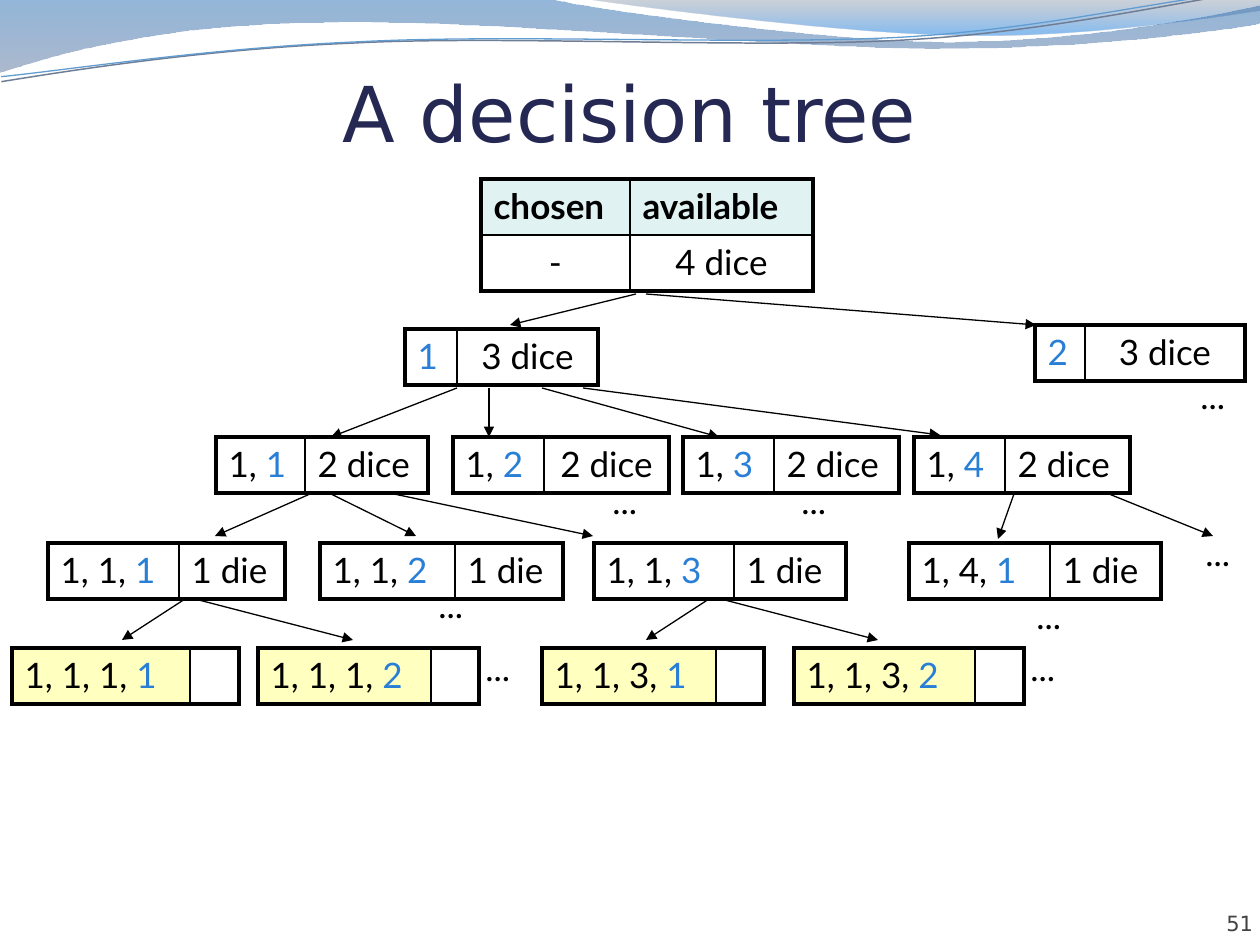
"""Build the decision tree slide for dice rolls."""
import dataclasses

import lxml.etree
import pptx
import pptx.dml.color
import pptx.enum.shapes
import pptx.enum.text
import pptx.oxml.ns
import pptx.util

ALIGN = pptx.enum.text.PP_ALIGN
ROW = 56


@dataclasses.dataclass(frozen=True)
class Theme:
    """Colours, fonts and type sizes of the slide."""
    heading_font: str = "DejaVu Sans"
    body_font: str = "Lato"
    title_size: int = 44
    body_size: int = 20
    number_size: int = 12
    title: str = "242852"
    ink: str = "000000"
    pick: str = "297FD5"
    number: str = "424242"
    header: str = "E1F2F3"
    leaf: str = "FFFFC0"
    outer_width: float = 2.25
    inner_width: float = 1
    arrow_width: float = 0.75
    strand_rotation: float = 357.3


THEME = Theme()

WAVES = [
    ((0, 0), [[(554, 0)], [(600, 11), (837, 42), (955, 42)],
              [(1075, 42), (1207, 18), (1260, 6)], [(1261, 24)],
              [(1239, 29), (1096, 49), (940, 49)], [(784, 49), (481, 19), (324, 23)],
              [(163, 24), (58, 54), (-1, 73)]],
     [(0, "125EAA", 45), (1, "697FA4", 55)]),
    ((588, 0), [[(627, 6), (849, 34), (961, 35)], [(1074, 38), (1211, 18), (1260, 11)],
                [(1260, 0)]],
     [(0, "596982", 30), (0.8, "0670DA", 45)]),
]
STRANDS = [
    ((0, 52), [[(62, 45), (202, 29), (352, 30)], [(501, 29), (746, 54), (900, 53)],
               [(1051, 52), (1187, 26), (1262, 20)]], "707E95", 0.85),
    ((0, 47), [[(61, 44), (209, 28), (359, 29)], [(509, 28), (751, 51), (902, 50)],
               [(1053, 48), (1163, 24), (1261, 20)]], "629DD1", 0.75),
]
NODES = [
    (405, 329, 52, 141, "", "1", "3 dice", ALIGN.CENTER),
    (1035, 325, 50, 160, "", "2", "3 dice", ALIGN.CENTER),
    (216, 437, 89, 123, "1, ", "1", "2 dice", ALIGN.LEFT),
    (453, 437, 91, 125, "1, ", "2", "2 dice", ALIGN.CENTER),
    (683, 437, 91, 125, "1, ", "3", "2 dice", ALIGN.LEFT),
    (914, 437, 91, 125, "1, ", "4", "2 dice", ALIGN.LEFT),
    (48, 543, 131, 106, "1, 1, ", "1", "1 die", ALIGN.LEFT),
    (320, 543, 135, 108, "1, 1, ", "2", "1 die", ALIGN.LEFT),
    (594, 543, 140, 112, "1, 1, ", "3", "1 die", ALIGN.LEFT),
    (909, 543, 141, 111, "1, 4, ", "1", "1 die", ALIGN.LEFT),
    (12, 648, 178, 49, "1, 1, 1, ", "1", "", ALIGN.LEFT),
    (258, 648, 173, 48, "1, 1, 1, ", "2", "", ALIGN.LEFT),
    (542, 648, 174, 48, "1, 1, 3, ", "1", "", ALIGN.LEFT),
    (794, 648, 181, 49, "1, 1, 3, ", "2", "", ALIGN.LEFT),
]
BRANCHES = {
    294: [(636, 510, 325), (646, 1036, 325)],
    388: [(457, 331, 437), (489, 489, 437), (542, 719, 437), (583, 940, 435)],
    494: [(310, 215, 536), (331, 416, 536), (394, 593, 536), (1014, 998, 539),
          (1109, 1213, 536)],
    599: [(185, 122, 640), (195, 353, 640), (709, 646, 640), (721, 878, 640)],
}
ELLIPSES = [(1193, 525), (789, 473), (600, 473), (1188, 368),
            (426, 577), (1024, 588), (473, 640), (1018, 640)]


def px(length):
    """Turn pixels into EMU."""
    return pptx.util.Emu(round(length * 914400 / 126))


def rgb(code):
    """Turn a hex code into a colour."""
    return pptx.dml.color.RGBColor.from_string(code)


def apply(target, values):
    """Set each attribute of target from a dict."""
    for name, value in values.items():
        setattr(target, name, value)


def sub(parent, tag, **attributes):
    """Append a drawing element to parent."""
    return lxml.etree.SubElement(parent, pptx.oxml.ns.qn(tag), attributes)


def write(paragraph, text, color=THEME.ink, size=THEME.body_size, name=THEME.body_font,
          bold=False):
    """Add a formatted run to a paragraph."""
    run = paragraph.add_run()
    run.text = text
    apply(run.font, {"size": pptx.util.Pt(size), "name": name, "bold": bold})
    run.font.color.rgb = rgb(color)


def add_outline(slide, start, segments, close):
    """Draw an outline whose segments of three points are cubic curves."""
    builder = slide.shapes.build_freeform(*map(px, start))
    points = [(px(x), px(y)) for segment in segments for x, y in segment]
    builder.add_line_segments(points, close=close)
    outline = builder.convert_to_shape()
    outline.shadow.inherit = False
    steps = iter(list(outline._element.iter(pptx.oxml.ns.qn("a:lnTo"))))
    for segment in segments:
        curve, *others = [next(steps) for _ in segment]
        if others:
            curve.addprevious(bezier := curve.makeelement(pptx.oxml.ns.qn("a:cubicBezTo")))
            for step in (curve, *others):
                bezier.append(step[0])
                step.getparent().remove(step)
    return outline


def add_wave(slide, start, segments, stops):
    """Draw a wave with a translucent vertical gradient."""
    wave = add_outline(slide, start, segments, True)
    wave.line.fill.background()
    wave.fill.gradient()
    wave.fill.gradient_angle = 270
    for stop, (position, color, _) in zip(wave.fill.gradient_stops, stops):
        stop.color.rgb = rgb(color)
        stop.position = position
    tints = wave._element.iter(pptx.oxml.ns.qn("a:srgbClr"))
    for tint, (_, _, opacity) in zip(list(tints), stops):
        sub(tint, "a:alpha", val=str(opacity * 1000))


def add_strand(slide, start, segments, color, width):
    """Draw a thin tilted curve."""
    strand = add_outline(slide, start, segments, False)
    strand.rotation = THEME.strand_rotation
    strand.fill.background()
    strand.line.color.rgb = rgb(color)
    strand.line.width = pptx.util.Pt(width)


def format_cell(cell, outer_edges, fill=None):
    """Set the borders and fill of a cell."""
    for edge in "LRTB":
        width = THEME.outer_width if edge in outer_edges else THEME.inner_width
        border = sub(cell._tc.get_or_add_tcPr(), f"a:ln{edge}", w=str(pptx.util.Pt(width)))
        sub(sub(border, "a:solidFill"), "a:srgbClr", val=THEME.ink)
    if fill:
        cell.fill.solid()
        cell.fill.fore_color.rgb = rgb(fill)
    else:
        cell.fill.background()


def add_state(slide, left, top, widths, fills):
    """Add a table of chosen and available dice, with one row for each pair of fills."""
    rows = len(fills)
    state = slide.shapes.add_table(rows, 2, px(left), px(top), px(sum(widths)),
                                   px(ROW * rows)).table
    apply(state, {"first_row": False, "horz_banding": False})
    for column, width in zip(state.columns, widths):
        column.width = px(width)
    for row, pair in enumerate(fills):
        state.rows[row].height = px(ROW)
        for column, fill in enumerate(pair):
            edges = "LR"[column] + "T" * (row == 0) + "B" * (row == rows - 1)
            format_cell(state.cell(row, column), edges, fill)
    return state


def add_root(slide):
    """Add the root state with its column headings."""
    root = add_state(slide, 481, 179, (149, 183), [(THEME.header, THEME.header), (None, None)])
    for row, texts in enumerate([("chosen", "available"), ("-", "4 dice")]):
        for column, text in enumerate(texts):
            paragraph = root.cell(row, column).text_frame.paragraphs[0]
            paragraph.alignment = ALIGN.CENTER if row else ALIGN.LEFT
            write(paragraph, text, bold=row == 0)


def add_node(slide, left, top, chosen_width, rest_width, prefix, pick, rest, alignment):
    """Add one state below the root; a state with no dice left is a leaf."""
    fill = None if rest else THEME.leaf
    node = add_state(slide, left, top, (chosen_width, rest_width), [(fill, None)])
    chosen, available = (node.cell(0, i).text_frame.paragraphs[0] for i in (0, 1))
    if prefix:
        write(chosen, prefix)
    write(chosen, pick, THEME.pick)
    available.alignment = alignment
    if rest:
        write(available, rest)


def add_branch(slide, *ends):
    """Draw an arrow from a state to its child."""
    branch = slide.shapes.add_connector(pptx.enum.shapes.MSO_CONNECTOR.STRAIGHT, *map(px, ends))
    branch.line.color.rgb = rgb(THEME.ink)
    branch.line.width = pptx.util.Pt(THEME.arrow_width)
    sub(branch.line._get_or_add_ln(), "a:tailEnd", type="triangle")
    sub(branch._element.spPr, "a:effectLst")


def add_label(slide, box, text, alignment, frame_format, **style):
    """Add a text box with one line."""
    frame = slide.shapes.add_textbox(*map(px, box)).text_frame
    apply(frame, frame_format)
    frame.paragraphs[0].alignment = alignment
    write(frame.paragraphs[0], text, **style)


def add_title(slide, text):
    """Place and format the title."""
    title = slide.shapes.title
    apply(title, dict(zip(("left", "top", "width", "height"), map(px, (63, 61, 1134, 97)))))
    apply(title.text_frame, {
        "margin_left": 0, "margin_right": 0, "margin_top": px(6), "margin_bottom": 0,
        "vertical_anchor": pptx.enum.text.MSO_ANCHOR.BOTTOM,
        "auto_size": pptx.enum.text.MSO_AUTO_SIZE.NONE, "word_wrap": True})
    heading = title.text_frame.paragraphs[0]
    heading.alignment = ALIGN.CENTER
    write(heading, text, THEME.title, THEME.title_size, THEME.heading_font)


def main():
    """Build and save the slide."""
    deck = pptx.Presentation()
    apply(deck, {"slide_width": px(1260), "slide_height": px(945)})
    slide = deck.slides.add_slide(deck.slide_layouts[5])
    for wave in WAVES:
        add_wave(slide, *wave)
    for strand in STRANDS:
        add_strand(slide, *strand)
    add_title(slide, "A decision tree")
    add_label(slide, (1148, 886, 105, 50), "51", ALIGN.RIGHT,
              {"margin_left": 0, "margin_right": 0, "margin_top": 0, "margin_bottom": 0,
               "vertical_anchor": pptx.enum.text.MSO_ANCHOR.BOTTOM, "word_wrap": True},
              color=THEME.number, size=THEME.number_size, name=THEME.heading_font)
    add_root(slide)
    for node in NODES:
        add_node(slide, *node)
    for top, branches in BRANCHES.items():
        for start, end, bottom in branches:
            add_branch(slide, start, top, end, bottom)
    for left, top in ELLIPSES:
        add_label(slide, (left, top, 57, 54), "...", ALIGN.LEFT,
                  {"word_wrap": False,
                   "auto_size": pptx.enum.text.MSO_AUTO_SIZE.SHAPE_TO_FIT_TEXT})
    deck.save("out.pptx")


if __name__ == "__main__":
    main()
